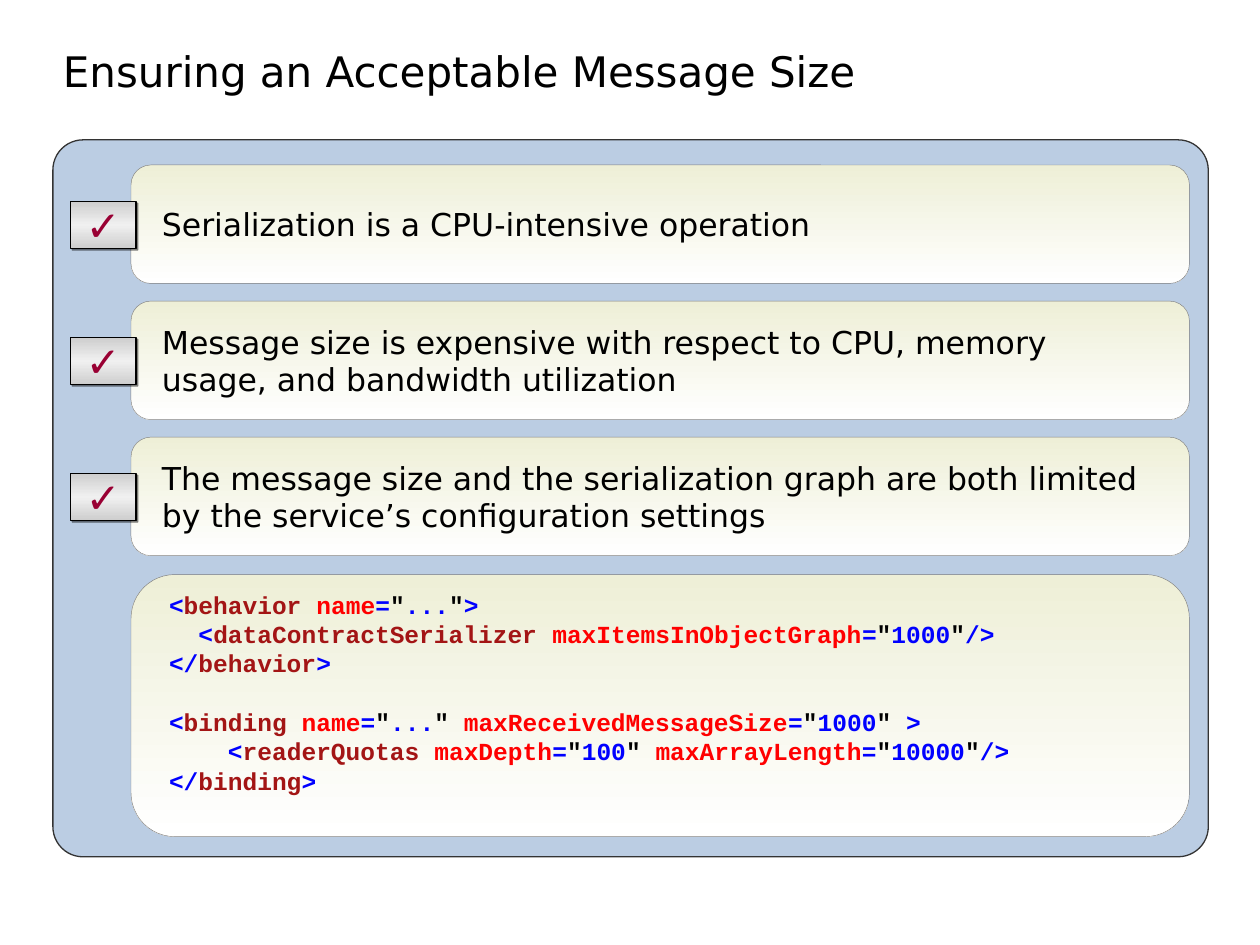
from copy import deepcopy

from lxml import etree
from pptx import Presentation, dml, util as u
from pptx.dml import color
from pptx.enum import shapes, text
from pptx.oxml import ns

BLACK, BLUE, MAROON, RED = "000000", "0000FF", "A31515", "FF0000"
CARD_X, CARD_W, CARD_H = 1.04, 8.4, 0.94
TOP, PITCH = 1.31, 1.08
CODE_LINE = 16.75

points = [
    "Serialization is a CPU-intensive operation",
    "Message size is expensive with respect to CPU, memory usage, and bandwidth utilization",
    "The message size and the serialization graph are both limited "
    "by the service’s configuration settings",
]
# opening, element, attributes, closing, blank lines before
code = [
    ("<", "behavior", [("name", "...")], ">", 0),
    ("  <", "dataContractSerializer", [("maxItemsInObjectGraph", "1000")], "/>", 0),
    ("</", "behavior", [], ">", 0),
    ("<", "binding", [("name", "..."), ("maxReceivedMessageSize", "1000")], " >", 1),
    ("    <", "readerQuotas", [("maxDepth", "100"), ("maxArrayLength", "10000")], "/>", 0),
    ("</", "binding", [], ">", 0),
]

prs = Presentation()
prs.slide_width, prs.slide_height = u.Inches(10), u.Inches(7.5)
s = prs.slides.add_slide(prs.slide_layouts[6])


def panel(x, y, w, h, corner, fills, line, width):
    """Add a rounded rectangle; several fills make a top-to-bottom gradient."""
    sp = s.shapes.add_shape(shapes.MSO_SHAPE.ROUNDED_RECTANGLE, *map(u.Inches, (x, y, w, h)))
    sp.adjustments[0] = corner
    sp.shadow.inherit = False
    sp.line.color.rgb = color.RGBColor.from_string(line)
    sp.line.width = u.Pt(width)
    if len(fills) == 1:
        sp.fill.solid()
        sp.fill.fore_color.rgb = color.RGBColor.from_string(fills[0])
    else:
        sp.fill.gradient()
        sp.fill.gradient_angle = 270
        stops = sp._element.spPr.find(".//" + ns.qn("a:gsLst"))
        for _ in fills[2:]:
            stops.append(deepcopy(stops[-1]))
        for i, (stop, fill) in enumerate(zip(sp.fill.gradient_stops, fills)):
            stop.position = i / (len(fills) - 1)
            stop.color.rgb = color.RGBColor.from_string(fill)
    tf = sp.text_frame
    tf.word_wrap = True
    tf.vertical_anchor = text.MSO_ANCHOR.MIDDLE
    tf.margin_left = tf.margin_right = u.Inches(0.2)
    return sp


def write(p, words, font, size, hue, bold=False):
    r = p.add_run()
    r.text = words
    r.font.name, r.font.size, r.font.bold = font, u.Pt(size), bold
    r.font.color.rgb = color.RGBColor.from_string(hue)


panel(0.42, 1.11, 9.17, 5.69, 0.042, ["BBCDE3"], "333333", 0.75)

# Title
tf = s.shapes.add_textbox(*map(u.Inches, (0.5, 0, 8.5, 0.81))).text_frame
tf.word_wrap = True
tf.vertical_anchor = text.MSO_ANCHOR.BOTTOM
tf.margin_left = 0
tf.paragraphs[0].line_spacing = 0.85
write(tf.paragraphs[0], "Ensuring an Acceptable Message Size", "DejaVu Sans", 24, BLACK)

# Checked points
for i, point in enumerate(points):
    y = TOP + i * PITCH
    sp = panel(CARD_X, y, CARD_W, CARD_H, 0.167, ["EEEFD7", "FFFFFF"], "808080", 0.25)
    p = sp.text_frame.paragraphs[0]
    p.alignment = text.PP_ALIGN.LEFT
    write(p, point, "DejaVu Sans", 18, BLACK)

    sp = panel(0.56, y + 0.29, 0.52, 0.37, 0, ["CECECE", "F0F0F0", "CECECE"], BLACK, 0.75)
    effects = sp._element.spPr.find(ns.qn("a:effectLst"))
    shadow = etree.SubElement(effects, ns.qn("a:outerShdw"), dist=str(u.Pt(1.4)),
                              dir="2700000", algn="ctr", rotWithShape="0")
    hue = etree.SubElement(shadow, ns.qn("a:srgbClr"), val=BLACK)
    etree.SubElement(hue, ns.qn("a:alpha"), val="50000")
    tf = sp.text_frame
    tf.word_wrap = False
    tf.margin_left = tf.margin_right = u.Inches(0.1)
    tf.paragraphs[0].alignment = text.PP_ALIGN.CENTER
    write(tf.paragraphs[0], "✓", "Arial", 24, "990033", True)

# Configuration code
sp = panel(CARD_X, TOP + 3 * PITCH + 0.01, CARD_W, 2.08, 0.167,
           ["EEEFD7", "FFFFFF"], "808080", 0.25)
tf = sp.text_frame
tf.vertical_anchor = text.MSO_ANCHOR.TOP
tf.margin_top = u.Inches(0.02)
for i, (opening, element, attributes, closing, blanks) in enumerate(code):
    p = tf.add_paragraph() if i else tf.paragraphs[0]
    p.alignment = text.PP_ALIGN.LEFT
    p.line_spacing = u.Pt(CODE_LINE)
    if blanks:
        p.space_before = u.Pt(blanks * CODE_LINE)
    tokens = [(opening, BLUE), (element, MAROON)]
    for name, value in attributes:
        tokens += [(" " + name, RED), ("=", BLUE), ('"', BLACK), (value, BLUE), ('"', BLACK)]
    for token, hue in tokens + [(closing, BLUE)]:
        write(p, token, "Courier New", 14, hue, True)

prs.save("out.pptx")
